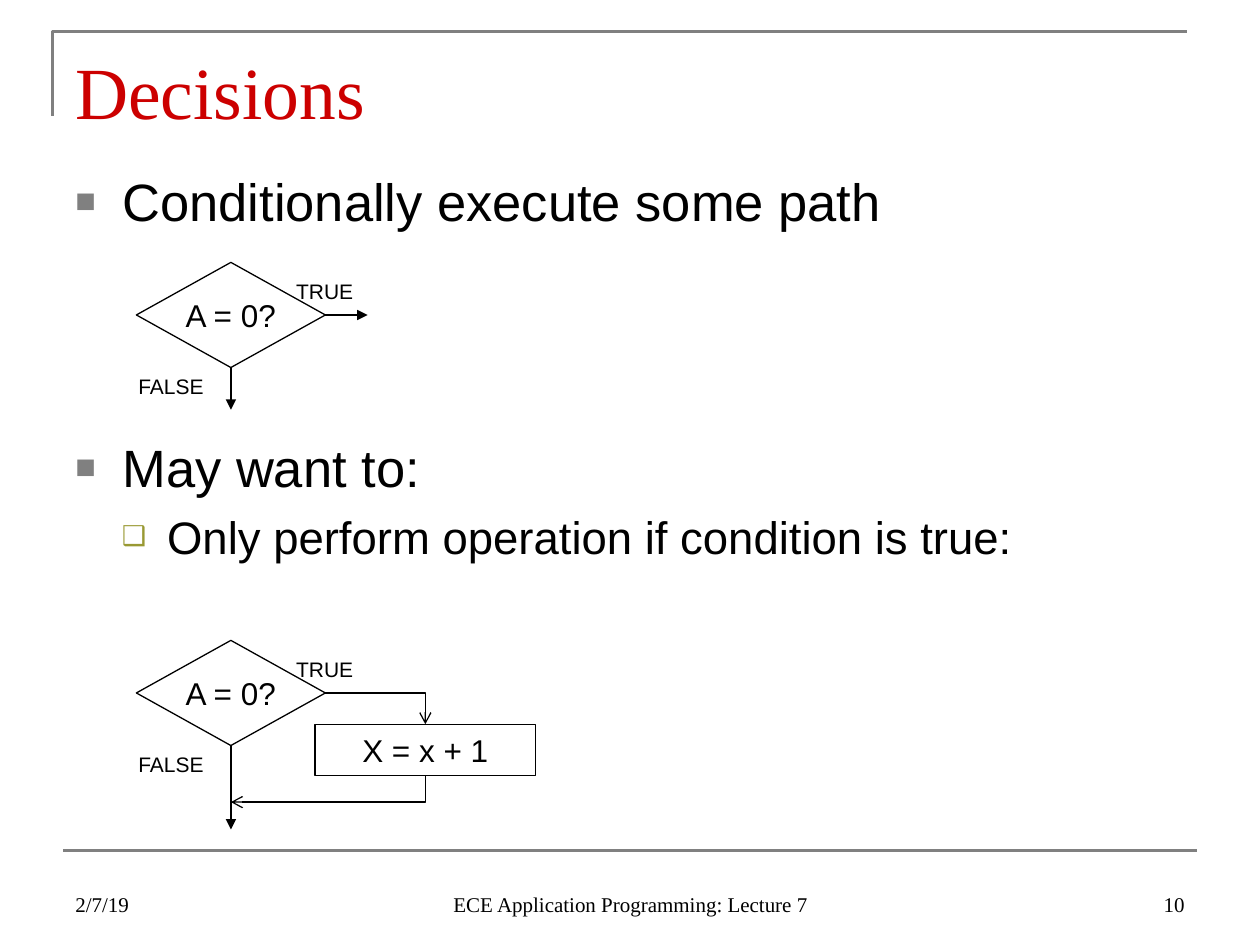
from lxml import etree
from pptx import Presentation
from pptx.dml.color import RGBColor
from pptx.enum.shapes import MSO_CONNECTOR, MSO_SHAPE
from pptx.enum.text import MSO_ANCHOR, PP_ALIGN
from pptx.oxml.ns import qn
from pptx.util import Cm, Pt

STRAIGHT, ELBOW = MSO_CONNECTOR.STRAIGHT, MSO_CONNECTOR.ELBOW
DECISION, RECT = MSO_SHAPE.FLOWCHART_DECISION, MSO_SHAPE.RECTANGLE
TOP, MIDDLE, BOTTOM = MSO_ANCHOR.TOP, MSO_ANCHOR.MIDDLE, MSO_ANCHOR.BOTTOM
LEFT, CENTER, RIGHT = PP_ALIGN.LEFT, PP_ALIGN.CENTER, PP_ALIGN.RIGHT
SANS, SERIF = "Arial", "Times New Roman"
BLACK, GRAY, RED, OLIVE = "000000", "808080", "CC0000", "999933"


def rgb(value):
    return RGBColor.from_string(value)


def add_bullet(p, char, color, size, margin, indent):
    pPr = p._p.get_or_add_pPr()
    pPr.set("marL", str(Cm(margin)))
    pPr.set("indent", str(Cm(indent)))
    clr = etree.SubElement(pPr, qn("a:buClr"))
    etree.SubElement(clr, qn("a:srgbClr"), val=color)
    etree.SubElement(pPr, qn("a:buSzPct"), val=str(size * 1000))
    etree.SubElement(pPr, qn("a:buFont"), typeface=SANS)
    etree.SubElement(pPr, qn("a:buChar"), char=char)


def write(p, text, size=12, font=SANS, color=BLACK, align=LEFT, before=0, bullet=None, level=0):
    if bullet:
        add_bullet(p, *bullet)
    p.level, p.alignment, p.space_before = level, align, Pt(before)
    r = p.add_run()
    r.text = text
    r.font.size, r.font.name = Pt(size), font
    r.font.color.rgb = rgb(color)


class Deck:
    """Holds the line style and the current slide."""

    def __init__(self, width, height):
        self.prs = Presentation()
        self.prs.slide_width, self.prs.slide_height = Cm(width), Cm(height)
        self.s = self.prs.slides.add_slide(self.prs.slide_layouts[6])
        self.ink, self.weight = BLACK, 0.75

    def outline(self, sp, color=None, weight=None):
        sp.line.color.rgb = rgb(color or self.ink)
        sp.line.width = Pt(weight or self.weight)

    def text(self, x, y, w, h, *items, anchor=TOP, bottom=0.13):
        tf = self.s.shapes.add_textbox(Cm(x), Cm(y), Cm(w), Cm(h)).text_frame
        tf.word_wrap, tf.vertical_anchor = True, anchor
        tf.margin_bottom = Cm(bottom)
        for i, (text, style) in enumerate(items):
            write(tf.add_paragraph() if i else tf.paragraphs[0], text, **style)
        return tf

    def box(self, kind, x, y, w, h, text, wrap=True):
        sp = self.s.shapes.add_shape(kind, Cm(x), Cm(y), Cm(w), Cm(h))
        sp.shadow.inherit = False
        sp.fill.background()
        self.outline(sp)
        tf = sp.text_frame
        tf.word_wrap, tf.vertical_anchor = wrap, MIDDLE
        write(tf.paragraphs[0], text, size=18, align=CENTER)

    def line(self, x1, y1, x2, y2, head=None, kind=STRAIGHT, color=None, weight=None):
        sp = self.s.shapes.add_connector(kind, Cm(x1), Cm(y1), Cm(x2), Cm(y2))
        self.outline(sp, color, weight)
        etree.SubElement(sp._element.spPr, qn("a:effectLst"))
        if head:
            etree.SubElement(sp.line._get_or_add_ln(), qn("a:tailEnd"), type=head)
        return sp

    def elbow(self, x1, y1, x2, y2, down_first=False):
        if down_first:
            cx, cy = (x1 + x2) / 2, (y1 + y2) / 2
            dx, dy = (y2 - y1) / 2, (x1 - x2) / 2
            x1, y1, x2, y2 = cx - dx, cy - dy, cx + dx, cy + dy
        spPr = self.line(x1, y1, x2, y2, "arrow", ELBOW)._element.spPr
        spPr.find(qn("a:prstGeom")).set("prst", "bentConnector2")
        if down_first:
            spPr.find(qn("a:xfrm")).set("rot", str(90 * 60000))

    def corner(self, x, y, w, h):
        fb = self.s.shapes.build_freeform(Cm(x), Cm(y + h))
        fb.add_line_segments([(Cm(x), Cm(y)), (Cm(x + w), Cm(y))], close=False)
        sp = fb.convert_to_shape()
        sp.shadow.inherit = False
        sp.fill.background()
        self.outline(sp, GRAY, 1.5)

    def decision(self, y, drop):
        x, w, h = 2.75, 3.81, 2.12
        self.box(DECISION, x, y, w, h, "A = 0?", wrap=False)
        self.line(x + w / 2, y + h, x + w / 2, y + h + drop, "triangle")
        self.text(5.72, y + 0.21, 1.69, 0.76, ("TRUE", {}))
        self.text(2.54, y + h, 1.91, 0.76, ("FALSE", {}))
        return x + w / 2, x + w, y + h / 2


def main():
    deck = Deck(25.4, 19.05)
    deck.corner(1.06, 0.64, 22.86, 1.69)
    deck.line(1.27, 17.15, 24.13, 17.15, color=GRAY, weight=1.5)
    deck.text(1.27, 0.76, 22.86, 1.98, ("Decisions", dict(size=42, font=SERIF, color=RED)),
              anchor=BOTTOM, bottom=0.03)

    square = ("■", GRAY, 65, 0.95, -0.95)
    hollow = ("❑", OLIVE, 60, 1.85, -0.91)
    body = deck.text(
        1.27, 3.18, 22.86, 13.84,
        ("Conditionally execute some path", dict(size=30, bullet=square)),
        ("May want to:", dict(size=30, bullet=square, before=116)),
        ("Only perform operation if condition is true:",
         dict(size=26, bullet=hollow, before=6, level=1)))
    body.margin_top = Cm(0.23)

    footers = [(1.27, 5.92, "2/7/19", LEFT),
               (8.69, 8.05, "ECE Application Programming: Lecture 7", CENTER),
               (18.21, 5.92, "10", RIGHT)]
    for x, w, text, align in footers:
        deck.text(x, 17.35, w, 1.27, (text, dict(font=SERIF, align=align)), anchor=BOTTOM)

    _, right, mid = deck.decision(5.29, 0.85)
    deck.line(right, mid, right + 0.85, mid, "triangle")

    stem, right, mid = deck.decision(12.91, 1.69)
    x, y, w, h = 6.35, 14.6, 4.45, 1.03
    deck.box(RECT, x, y, w, h, "X = x + 1")
    deck.elbow(right, mid, x + w / 2, y)
    deck.elbow(x + w / 2, y + h, stem, 16.17, down_first=True)
    deck.prs.save("out.pptx")


if __name__ == "__main__":
    main()
